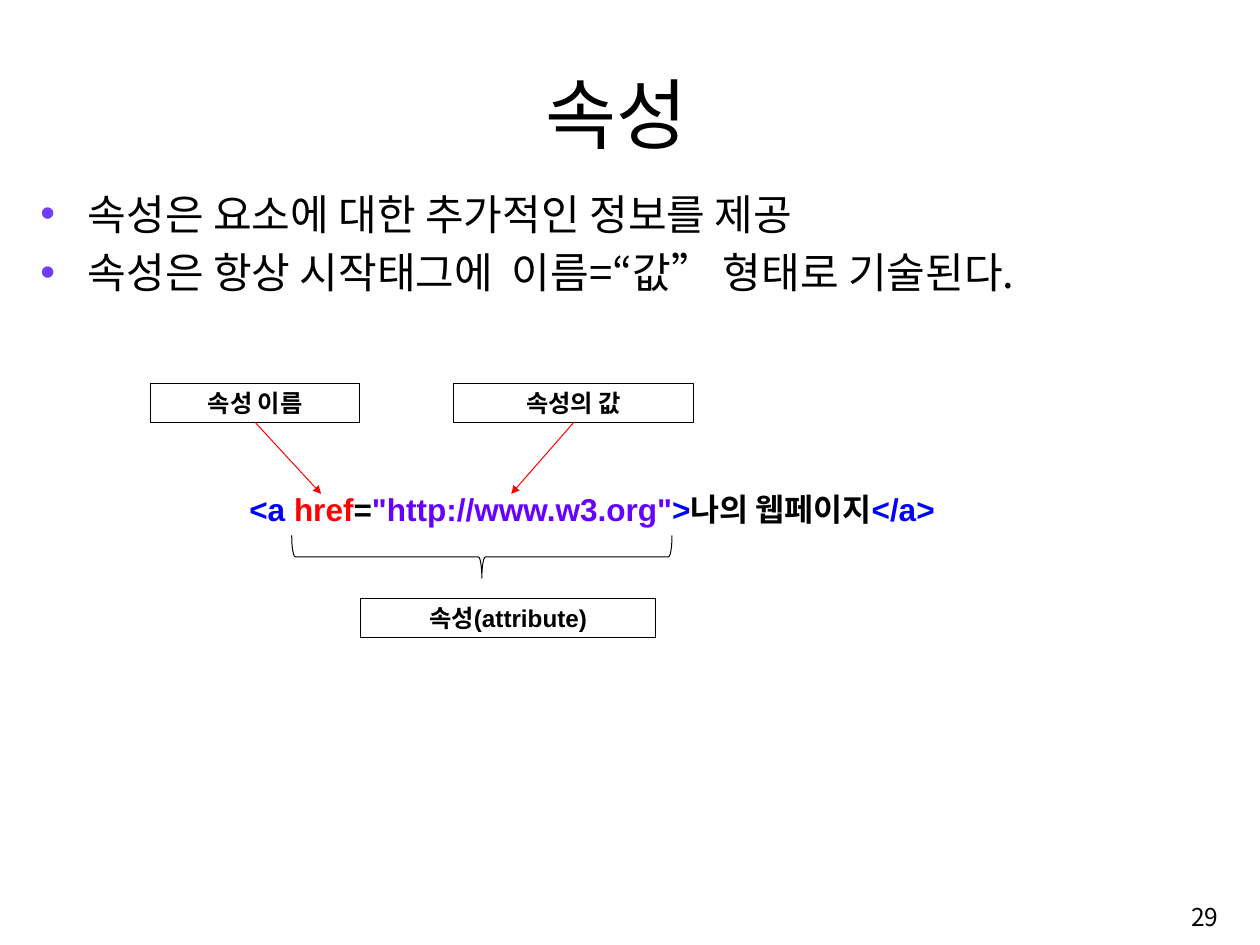
from lxml import etree
from pptx import Presentation
from pptx.dml.color import RGBColor
from pptx.enum.shapes import MSO_CONNECTOR, MSO_SHAPE
from pptx.enum.text import MSO_ANCHOR, MSO_AUTO_SIZE, PP_ALIGN
from pptx.oxml.ns import qn
from pptx.util import Cm, Pt

RECTANGLE, BRACE = MSO_SHAPE.RECTANGLE, MSO_SHAPE.RIGHT_BRACE
STRAIGHT = MSO_CONNECTOR.STRAIGHT
TOP, MIDDLE, BOTTOM = MSO_ANCHOR.TOP, MSO_ANCHOR.MIDDLE, MSO_ANCHOR.BOTTOM
LEFT, CENTER, RIGHT = PP_ALIGN.LEFT, PP_ALIGN.CENTER, PP_ALIGN.RIGHT
NO_FIT = MSO_AUTO_SIZE.NONE
BOTTOM_SIDE = 2

COLORS = {"black": "000000", "tag": "0000FF", "name": "FF0000",
          "value": "6600FF", "bullet": "703DFF"}
HANGUL_FONT, LATIN_FONT = "Noto Sans CJK KR", "Arial"
THIN = Pt(0.75)


def color(name):
    return RGBColor.from_string(COLORS[name])


def apply_format(target, values):
    for name, value in values.items():
        setattr(target, name, value)


def place(shape, box):
    names = ("left", "top", "width", "height")
    apply_format(shape, {name: Cm(length) for name, length in zip(names, box)})


def add_run(paragraph, text, size, font_name, color_name="black", bold=False):
    run = paragraph.add_run()
    run.text = text
    apply_format(run.font, {"size": Pt(size), "name": font_name, "bold": bold})
    run.font.color.rgb = color(color_name)
    east_asian = etree.SubElement(run.font._element, qn("a:ea"))
    east_asian.set("typeface", HANGUL_FONT)


def format_frame(shape, anchor, align):
    frame = shape.text_frame
    apply_format(frame, {"word_wrap": True, "auto_size": NO_FIT,
                         "vertical_anchor": anchor})
    frame.paragraphs[0].alignment = align
    return frame


def add_text_box(slide, box, anchor=MIDDLE, align=LEFT):
    shape = slide.shapes.add_textbox(*map(Cm, box))
    return format_frame(shape, anchor, align)


def add_outline(slide, kind, box):
    shape = slide.shapes.add_shape(kind, *map(Cm, box))
    shape.shadow.inherit = False
    shape.fill.background()
    shape.line.color.rgb = color("black")
    shape.line.width = THIN
    return shape


def add_title(slide, box, text):
    title = slide.shapes.title
    place(title, box)
    frame = format_frame(title, BOTTOM, CENTER)
    add_run(frame.paragraphs[0], text, 57.2, HANGUL_FONT)


def add_bullets(slide, box, lines):
    frame = add_text_box(slide, box, TOP)
    for index, line in enumerate(lines):
        paragraph = frame.add_paragraph() if index else frame.paragraphs[0]
        paragraph.space_before = Pt(6.2)
        add_run(paragraph, line, 31.2, HANGUL_FONT)
        properties = paragraph._p.get_or_add_pPr()
        properties.set("marL", str(Cm(1.24)))
        properties.set("indent", str(-Cm(1.24)))
        bullet_color = etree.SubElement(properties, qn("a:buClr"))
        etree.SubElement(bullet_color, qn("a:srgbClr")).set("val", COLORS["bullet"])
        etree.SubElement(properties, qn("a:buFont")).set("typeface", LATIN_FONT)
        etree.SubElement(properties, qn("a:buChar")).set("char", "•")


def add_label(slide, box, text):
    shape = add_outline(slide, RECTANGLE, box)
    frame = format_frame(shape, MIDDLE, CENTER)
    add_run(frame.paragraphs[0], text, 18, LATIN_FONT, bold=True)
    return shape


def add_arrow(slide, label, end):
    end_x, end_y = map(Cm, end)
    arrow = slide.shapes.add_connector(STRAIGHT, 0, 0, end_x, end_y)
    arrow.begin_connect(label, BOTTOM_SIDE)
    arrow.line.color.rgb = color("name")
    arrow.line.width = THIN
    line = arrow.line._get_or_add_ln()
    etree.SubElement(line, qn("a:tailEnd")).set("type", "triangle")
    etree.SubElement(arrow._element.spPr, qn("a:effectLst"))


def add_brace(slide, box):
    """Fill the box with a brace that points down."""
    left, top, width, height = box
    turned = (left + (width - height) / 2, top + (height - width) / 2, height, width)
    brace = add_outline(slide, BRACE, turned)
    brace.rotation = 90
    brace.adjustments[0] = 0.083


def add_tag_diagram(slide, box):
    left, top, width, height = box
    # Code line
    frame = add_text_box(slide, (left + 2.26, top + 2.31, 19.46, 1.98))
    apply_format(frame, {"margin_left": Cm(0.33), "margin_right": Cm(0.33)})
    pieces = [("<a ", "tag"), ("href", "name"), ("=", "black"),
              ('"http://www.w3.org"', "value"), (">", "tag"),
              ("나의 웹페이지", "black"), ("</a>", "tag")]
    for text, color_name in pieces:
        add_run(frame.paragraphs[0], text, 23.4, LATIN_FONT, color_name, True)
    # Labels above, each with an arrow to its part of the code
    for text, x, label_width, target in [("속성 이름", 0, 5.49, 4.47),
                                         ("속성의 값", 7.95, 6.27, 9.45)]:
        label = add_label(slide, (left + x, top, label_width, 1.03), text)
        add_arrow(slide, label, (left + target, top + 2.9))
    # Brace and label below
    add_brace(slide, (left + 3.7, top + 3.99, 9.96, 1.12))
    add_label(slide, (left + 5.51, top + height - 1.03, 7.72, 1.03), "속성(attribute)")


def add_page_number(slide, box, number):
    frame = add_text_box(slide, box, MIDDLE, RIGHT)
    add_run(frame.paragraphs[0], number, 18.2, HANGUL_FONT)


def main():
    presentation = Presentation()
    presentation.slide_width, presentation.slide_height = Cm(33), Cm(24.74)
    slide = presentation.slides.add_slide(presentation.slide_layouts[5])
    add_title(slide, (2.67, 1.55, 26.95, 2.74), "속성")
    add_bullets(slide, (0.81, 4.8, 31.29, 17.93),
                ["속성은 요소에 대한 추가적인 정보를 제공",
                 "속성은 항상 시작태그에  이름=“값” 형태로 기술된다."])
    add_tag_diagram(slide, (3.94, 10.03, 21.72, 6.67))
    add_page_number(slide, (25.35, 23.24, 6.81, 1.52), "29")
    presentation.save("out.pptx")


if __name__ == "__main__":
    main()
